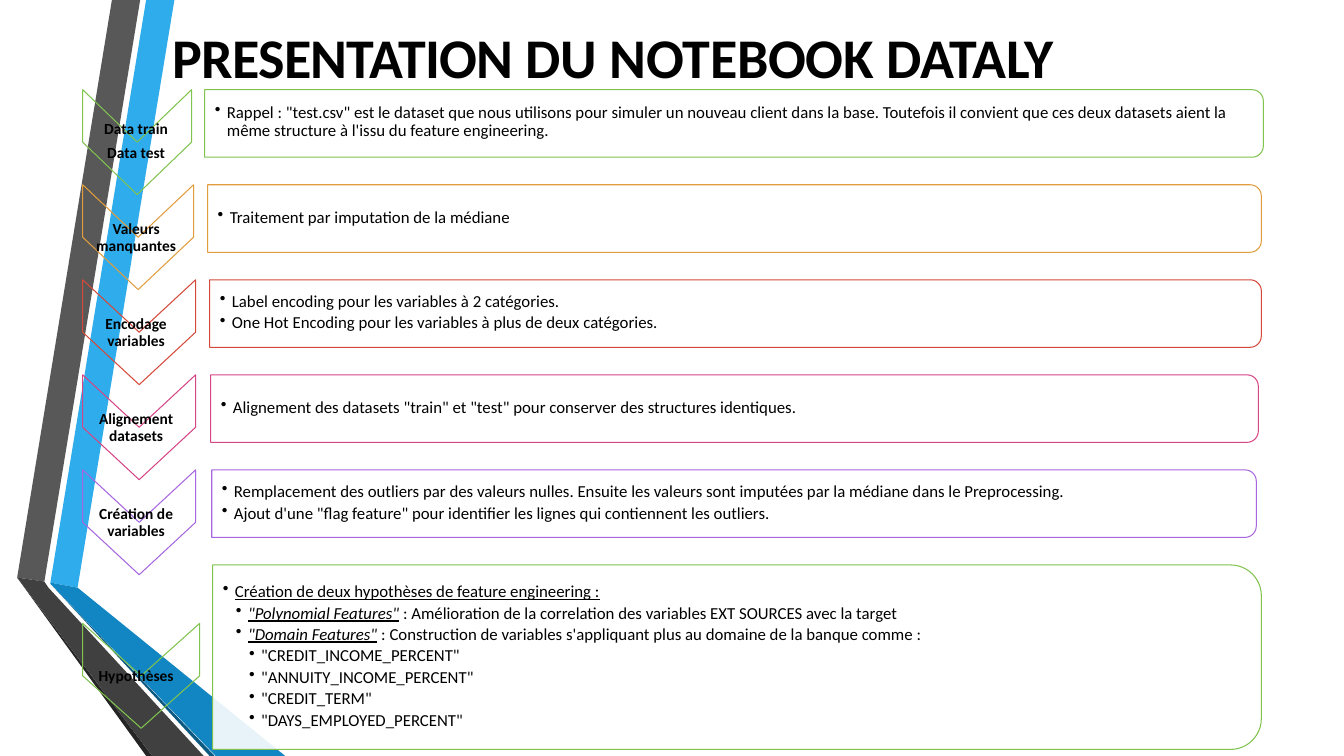
from dataclasses import dataclass

from lxml.etree import SubElement
from pptx import Presentation
from pptx.dml.color import RGBColor
from pptx.enum.shapes import MSO_SHAPE
from pptx.enum.text import MSO_ANCHOR, MSO_AUTO_SIZE, PP_ALIGN
from pptx.oxml.ns import qn
from pptx.util import Inches, Pt


@dataclass
class Theme:
    font: str = "Calibri"
    ink: str = "000000"
    panel: str = "FFFFFF"
    green: str = "80C34F"
    orange: str = "E19D3D"
    red: str = "D5493A"
    pink: str = "D54686"
    violet: str = "A666E0"
    title_size: float = 40
    body_size: float = 12
    label_size: float = 11
    line_width: float = 0.75


theme = Theme()

# Grid, in inches
ROW_TOP, ROW_PITCH = 0.89, 0.943
PANEL_HEIGHT, LAST_PANEL_HEIGHT = 0.67, 1.83
CHEVRON_LEFT, CHEVRON_HEIGHT, LAST_CHEVRON_DROP = 0.82, 1.04, 0.58
LABEL_LEFT, LABEL_WIDTH = 0.94, 0.82
BULLET_HANG, FIRST_INDENT, LEVEL_INDENT = 0.12, 0.21, 0.13


def add_turned_shape(kind, left, top, width, height, color):
    """Outline a preset shape turned a quarter clockwise inside the given frame."""
    shape = page.shapes.add_shape(
        kind,
        Inches(left + (width - height) / 2), Inches(top + (height - width) / 2),
        Inches(height), Inches(width))
    shape.rotation = 90
    shape.shadow.inherit = False
    shape.fill.background()
    shape.line.color.rgb = RGBColor.from_string(color)
    shape.line.width = Pt(theme.line_width)
    return shape


def add_text_frame(left, top, width, height):
    """Add a wrapping text box without margins, centred vertically."""
    box = page.shapes.add_textbox(Inches(left), Inches(top), Inches(width), Inches(height))
    frame = box.text_frame
    frame.word_wrap = True
    frame.vertical_anchor = MSO_ANCHOR.MIDDLE
    frame.margin_left = frame.margin_right = frame.margin_top = frame.margin_bottom = 0
    return frame


deck = Presentation()
deck.slide_width, deck.slide_height = Inches(13.33), Inches(7.5)
page = deck.slides.add_slide(deck.slide_layouts[5])

# Folded ribbons on the left
ribbons = [
    ("2FACEB", [(1.73, 0), (1.45, 0), (0.5, 5.78), (0.77, 5.83)]),
    ("585858", [(1.39, 0), (1.11, 0), (0.17, 5.73), (0.44, 5.77)]),
    ("252525", [(0.17, 5.73), (1.45, 7.5), (1.51, 7.5)]),
    ("0C5A82", [(0.5, 5.79), (2.08, 7.5), (2.13, 7.5)]),
    ("1286C3", [(0.5, 5.78), (0.5, 5.79), (2.14, 7.5), (2.83, 7.5), (0.77, 5.83)]),
    ("404040", [(0.17, 5.73), (1.51, 7.5), (2.02, 7.5), (0.48, 5.83), (0.44, 5.77)]),
]
for color, corners in ribbons:
    points = [(Inches(x), Inches(y)) for x, y in corners]
    builder = page.shapes.build_freeform(*points[0])
    builder.add_line_segments(points[1:], close=True)
    ribbon = builder.convert_to_shape()
    ribbon.shadow.inherit = False
    ribbon.fill.solid()
    ribbon.fill.fore_color.rgb = RGBColor.from_string(color)
    ribbon.line.fill.background()

# Title
title = page.shapes.title
title.left, title.top, title.width, title.height = (
    Inches(1.71), Inches(0.21), Inches(10.1), Inches(0.69))
frame = title.text_frame
frame.auto_size = MSO_AUTO_SIZE.NONE
frame.vertical_anchor = MSO_ANCHOR.TOP
frame.margin_left = frame.margin_right = frame.margin_bottom = 0
frame.margin_top = Inches(0.01)
para = frame.paragraphs[0]
para.alignment = PP_ALIGN.LEFT
for words, tracking in [("PRESENTATION ", -50), ("DU ", 0), ("NOTEBOOK ", -20), ("DATALY", -10)]:
    span = para.add_run()
    span.text = words
    span.font.name = theme.font
    span.font.size = Pt(theme.title_size)
    span.font.bold = True
    span.font.color.rgb = RGBColor.from_string(theme.ink)
    span.font._element.set("spc", str(tracking))

# Steps: color, label, chevron width, panel left, panel right,
# lines (level, underlined lead, rest)
steps = [
    (theme.green, "Data train Data test", 1.08, 2.03, 12.53, [
        (0, "", "Rappel : \"test.csv\" est le dataset que nous utilisons pour simuler un "
                "nouveau client dans la base. Toutefois il convient que ces deux datasets "
                "aient la même structure à l'issu du feature engineering.")]),
    (theme.orange, "Valeurs manquantes", 1.1, 2.06, 12.51, [
        (0, "", "Traitement par imputation de la médiane")]),
    (theme.red, "Encodage variables", 1.12, 2.08, 12.51, [
        (0, "", "Label encoding pour les variables à 2 catégories."),
        (0, "", "One Hot Encoding pour les variables à plus de deux catégories.")]),
    (theme.pink, "Alignement datasets", 1.12, 2.09, 12.48, [
        (0, "", "Alignement des datasets \"train\" et \"test\" pour conserver des "
                "structures identiques.")]),
    (theme.violet, "Création de variables", 1.12, 2.1, 12.46, [
        (0, "", "Remplacement des outliers par des valeurs nulles. Ensuite les valeurs "
                "sont imputées par la médiane dans le Preprocessing."),
        (0, "", "Ajout d'une \"flag feature\" pour identifier les lignes qui contiennent "
                "les outliers.")]),
    (theme.green, "Hypothèses", 1.16, 2.11, 12.51, [
        (0, "Création de deux hypothèses de feature engineering :", ""),
        (1, "\"Polynomial Features\"", " : Amélioration de la correlation des variables "
                                       "EXT SOURCES avec la target"),
        (1, "\"Domain Features\"", " : Construction de variables s'appliquant plus au "
                                   "domaine de la banque comme :"),
        (2, "", "\"CREDIT_INCOME_PERCENT\""),
        (2, "", "\"ANNUITY_INCOME_PERCENT\""),
        (2, "", "\"CREDIT_TERM\""),
        (2, "", "\"DAYS_EMPLOYED_PERCENT\"")]),
]

for row, (color, label, chevron_width, left, right, lines) in enumerate(steps):
    first, last = row == 0, row == len(steps) - 1
    top = ROW_TOP + row * ROW_PITCH
    width = right - left
    height = LAST_PANEL_HEIGHT if last else PANEL_HEIGHT

    # Chevron and its label
    chevron_top = top + (LAST_CHEVRON_DROP if last else 0)
    add_turned_shape(MSO_SHAPE.CHEVRON, CHEVRON_LEFT, chevron_top,
                     chevron_width, CHEVRON_HEIGHT, color)
    label_top = chevron_top - (0.04 if first else 0)
    frame = add_text_frame(LABEL_LEFT, label_top, LABEL_WIDTH, CHEVRON_HEIGHT)
    frame.text = label
    para = frame.paragraphs[0]
    para.alignment = PP_ALIGN.CENTER
    para.line_spacing = Pt(16.6 if first else 12.1)
    font = para.runs[0].font
    font.name, font.size, font.bold = theme.font, Pt(theme.label_size), True
    font.color.rgb = RGBColor.from_string(theme.ink)

    # Panel, slightly see-through
    panel = add_turned_shape(MSO_SHAPE.ROUND_2_SAME_RECTANGLE, left, top, width, height, color)
    panel.fill.solid()
    panel.fill.fore_color.rgb = RGBColor.from_string(theme.panel)
    fill_color = panel._element.spPr.find(qn("a:solidFill"))[0]
    SubElement(fill_color, qn("a:alpha")).set("val", "90000")

    # Bulleted lines
    frame = add_text_frame(left + 0.01, top - 0.02, width - 0.08, height)
    for number, (level, lead, rest) in enumerate(lines):
        para = frame.add_paragraph() if number else frame.paragraphs[0]
        para.level = level
        properties = para._p.get_or_add_pPr()
        properties.set("marL", str(Inches(FIRST_INDENT + level * LEVEL_INDENT)))
        properties.set("indent", str(-Inches(BULLET_HANG)))
        SubElement(properties, qn("a:buChar")).set("char", "•")
        if number:
            para.space_before = Pt(0.9)
        if first:
            para.line_spacing = Pt(13.2)
        for words, is_lead in [(lead, True), (rest, False)]:
            if words:
                span = para.add_run()
                span.text = words
                span.font.name, span.font.size = theme.font, Pt(theme.body_size)
                span.font.color.rgb = RGBColor.from_string(theme.ink)
                span.font.underline = is_lead
                span.font.italic = is_lead and level > 0

deck.save("out.pptx")
